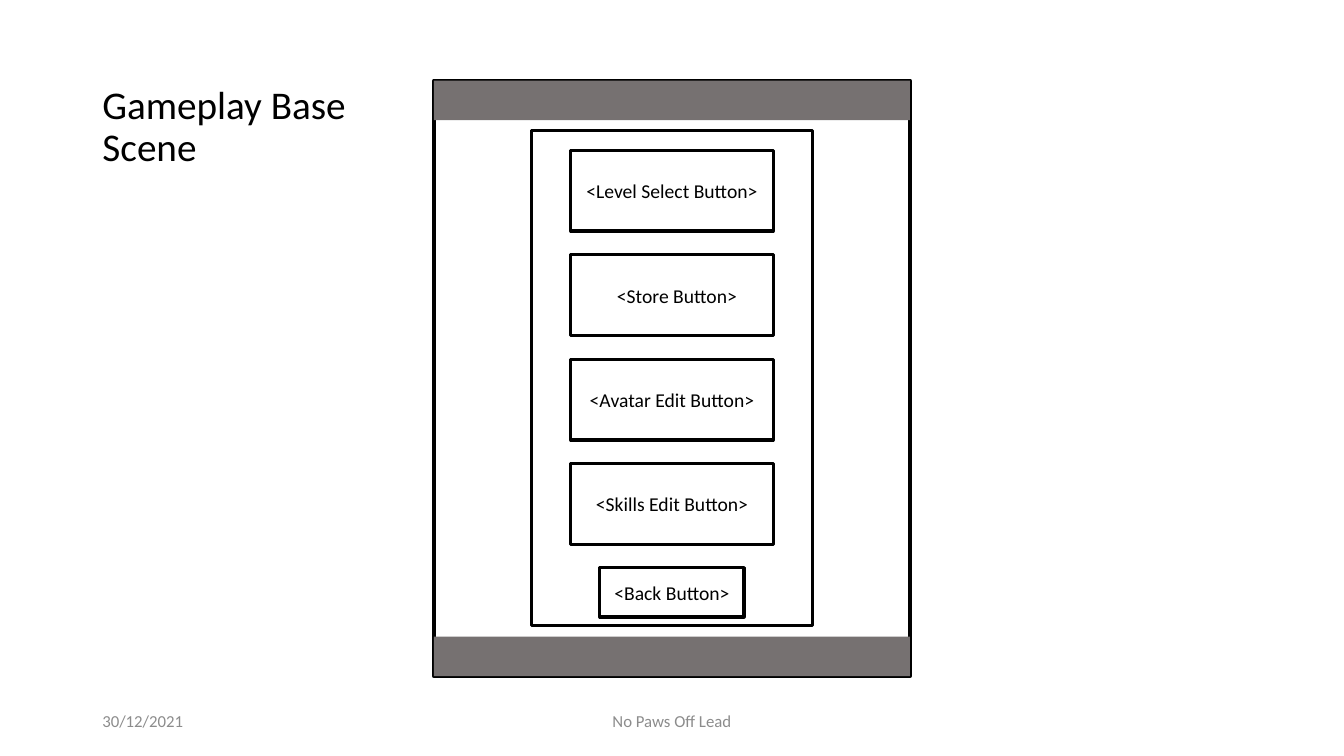
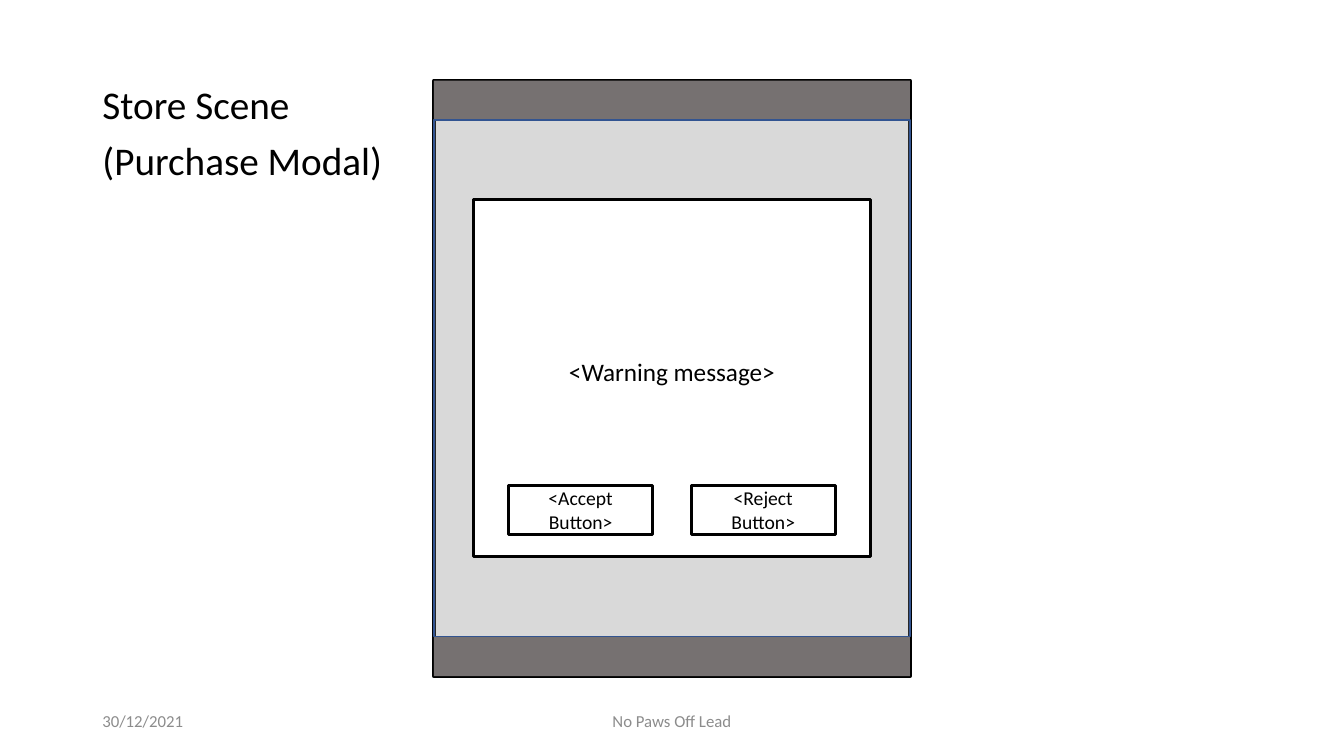
from dataclasses import dataclass

import pptx
import pptx.dml.color
import pptx.enum.shapes
import pptx.enum.text
import pptx.util
from lxml import etree
from pptx.oxml.ns import qn

Pt = pptx.util.Pt
Align = pptx.enum.text.PP_ALIGN
Anchor = pptx.enum.text.MSO_ANCHOR
RECT = pptx.enum.shapes.MSO_SHAPE.RECTANGLE


@dataclass(frozen=True)
class Theme:
    font: str = "Calibri"
    ink: str = "000000"
    paper: str = "FFFFFF"
    band: str = "767171"
    veil: str = "848484"
    edge: str = "325491"
    muted: str = "8C8C8C"
    title: int = 28
    message: int = 18
    button: int = 14
    footer: int = 12
    frame: float = 3
    border: float = 2.25
    thin: float = 1


THEME = Theme()
WIDE, HIGH = 960, 540
MID = WIDE / 2
LEFT = 66
TOP, FRAME_W, FRAME_H, BAND_H = 57.6, 340, 425.4, 28.2
SMALL_W, SMALL_H = 103, 35.3


def color(code):
    return pptx.dml.color.RGBColor.from_string(code)


def write(shape, text, size, ink, align, anchor):
    frame = shape.text_frame
    frame.text = text
    frame.word_wrap = True
    frame.auto_size = pptx.enum.text.MSO_AUTO_SIZE.NONE
    frame.vertical_anchor = anchor
    for para in frame.paragraphs:
        para.alignment = align
        for run in para.runs:
            run.font.name = THEME.font
            run.font.size = Pt(size)
            run.font.color.rgb = color(ink)
    return frame


def box(slide, mid, top, width, height, fill=THEME.paper,
        line=THEME.ink, weight=THEME.border):
    shape = slide.shapes.add_shape(
        RECT, Pt(mid - width / 2), Pt(top), Pt(width), Pt(height))
    shape.shadow.inherit = False
    if fill:
        shape.fill.solid()
        shape.fill.fore_color.rgb = color(fill)
    else:
        shape.fill.background()
    if line:
        shape.line.color.rgb = color(line)
        shape.line.width = Pt(weight)
    else:
        shape.line.fill.background()
    return shape


def button(slide, text, mid, top, width, height):
    shape = box(slide, mid, top, width, height)
    return write(shape, text, THEME.button, THEME.ink,
                 Align.CENTER, Anchor.MIDDLE)


def label(slide, text, left, top, width, size, ink, align, anchor):
    shape = slide.shapes.add_textbox(Pt(left), Pt(top), Pt(width), Pt(28.8))
    write(shape, text, size, ink, align, anchor)


def fade(shape, share):
    tint = shape.fill._xPr.find(qn("a:solidFill"))[0]
    etree.SubElement(tint, qn("a:alpha")).set("val", str(share * 1000))


def heading(slide, text):
    title = slide.shapes.title
    title.left, title.top = Pt(LEFT), Pt(TOP)
    title.width, title.height = Pt(226), Pt(FRAME_H)
    frame = write(title, text, THEME.title, THEME.ink, Align.LEFT, Anchor.TOP)
    for para in frame.paragraphs:
        para.line_spacing = 0.9
        para.space_before = Pt(10)


def scene(deck, title):
    slide = deck.slides.add_slide(deck.slide_layouts.get_by_name("Title Only"))
    box(slide, MID, TOP, FRAME_W, FRAME_H, fill=None, weight=THEME.frame)
    for top in (TOP, TOP + FRAME_H - BAND_H):
        box(slide, MID, top, FRAME_W, BAND_H, fill=THEME.band, line=None)
    for text, left, width, align in (
            ("30/12/2021", LEFT, 216, Align.LEFT),
            ("No Paws Off Lead", MID - 162, 324, Align.CENTER)):
        label(slide, text, left, 500.5, width, THEME.footer, THEME.muted,
              align, Anchor.MIDDLE)
    heading(slide, title)
    return slide


def menu(deck):
    slide = scene(deck, "Gameplay Base Scene")
    box(slide, MID, 93, 201, 354)
    names = ("Level Select", "Store", "Avatar Edit", "Skills Edit")
    for row, name in enumerate(names):
        frame = button(slide, f"<{name} Button>", MID, 107.5 + row * 74.6,
                       144.7, 57.6)
        if name == "Store":
            frame.margin_left = Pt(14.2)
    button(slide, "<Back Button>", MID, 405.4, SMALL_W, SMALL_H)


def modal(deck):
    slide = scene(deck, "Store Scene\n(Purchase Modal)")
    veil = box(slide, MID, TOP + BAND_H, FRAME_W, FRAME_H - 2 * BAND_H,
               fill=THEME.veil, line=THEME.edge, weight=THEME.thin)
    fade(veil, 30)
    box(slide, MID, 142.7, 283.7, 255)
    for name, side in (("Accept", -1), ("Reject", 1)):
        button(slide, f"<{name} Button>", MID + side * 65.2, 346.5,
               SMALL_W, SMALL_H)
    label(slide, "<Warning message>", MID - 115, 251.3, 230, THEME.message,
          THEME.ink, Align.CENTER, Anchor.TOP)


def main():
    deck = pptx.Presentation()
    deck.slide_width, deck.slide_height = Pt(WIDE), Pt(HIGH)
    menu(deck)
    modal(deck)
    deck.save("out.pptx")


main()
